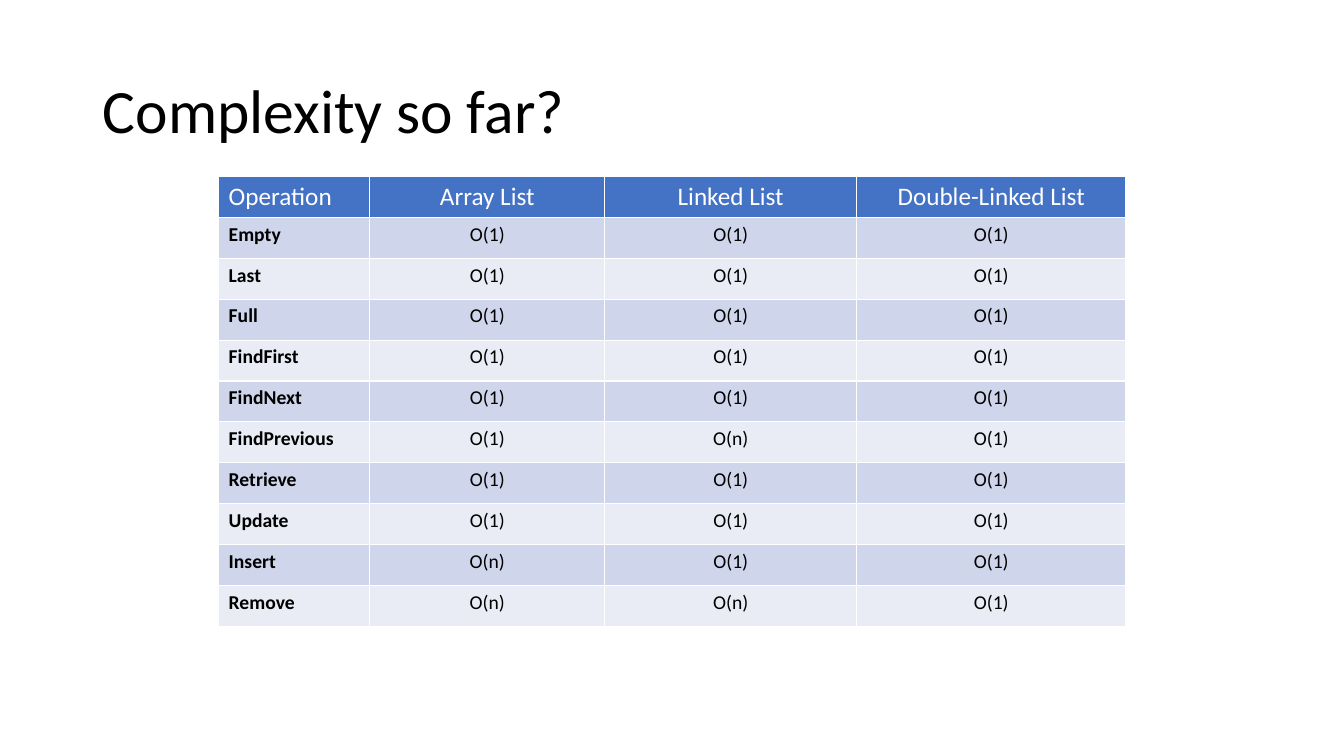
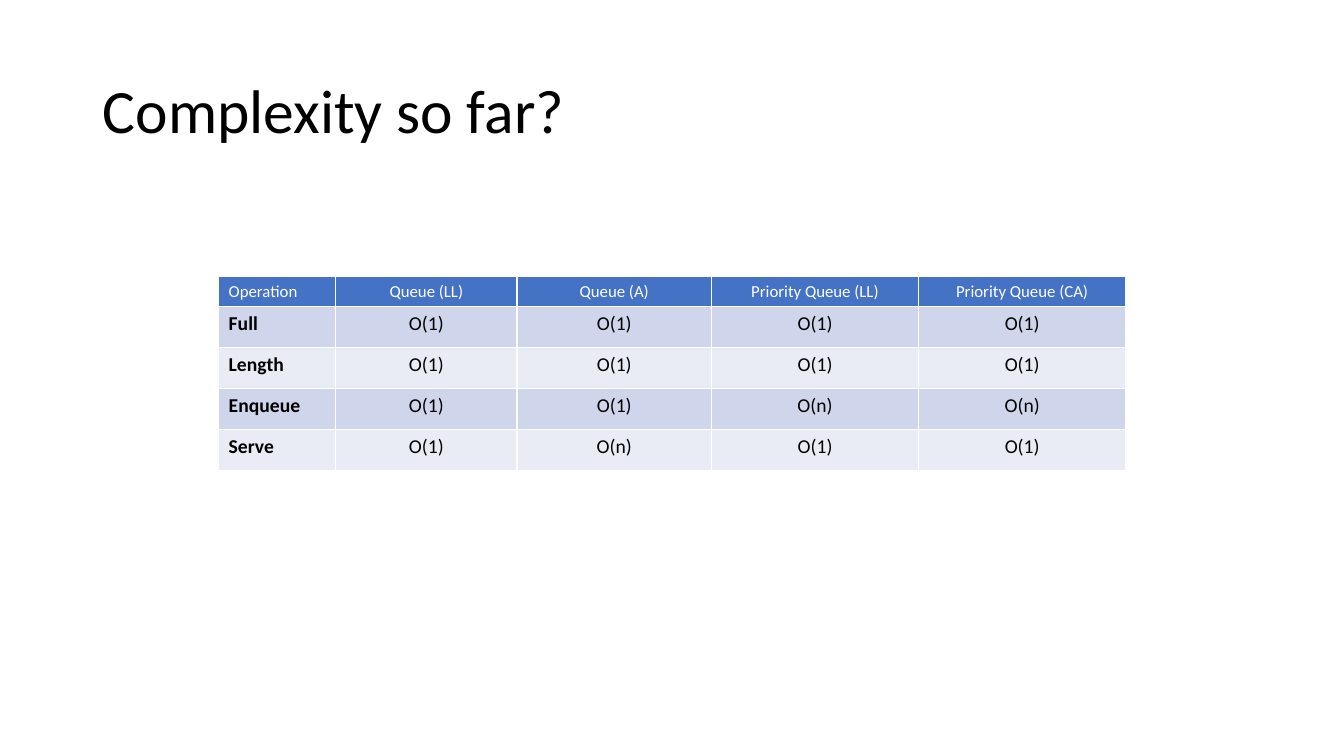
from dataclasses import dataclass

from pptx import Presentation
from pptx.dml.color import RGBColor
from pptx.enum.text import MSO_ANCHOR, PP_ALIGN
from pptx.util import Cm, Pt

LEFT, CENTER = PP_ALIGN.LEFT, PP_ALIGN.CENTER
MIDDLE = MSO_ANCHOR.MIDDLE
BLANK_LAYOUT = 6


@dataclass(frozen=True)
class Theme:
    """Colours, font and type sizes shared by the slides."""
    font: str = "Calibri"
    text: RGBColor = RGBColor(0x00, 0x00, 0x00)
    header_text: RGBColor = RGBColor(0xFF, 0xFF, 0xFF)
    header_fill: RGBColor = RGBColor(0x44, 0x72, 0xC4)
    bands: tuple = (RGBColor(0xCF, 0xD5, 0xEA), RGBColor(0xE9, 0xEB, 0xF5))
    title_size: int = 44
    body_size: int = 14


THEME = Theme()
TITLE_BOX = (2.34, 1.02, 29.21, 3.68)
TABLE_LEFT = 5.51
ROW_HEIGHT = 1.03

SLIDES = [
    {
        "title": "Complexity so far?",
        "top": 4.45,
        "header_height": ROW_HEIGHT,
        "header_size": 18,
        "widths": (3.81, 5.92, 6.35, 6.78),
        "rows": [
            ("Operation", "Array List", "Linked List", "Double-Linked List"),
            ("Empty", "O(1)", "O(1)", "O(1)"),
            ("Last", "O(1)", "O(1)", "O(1)"),
            ("Full", "O(1)", "O(1)", "O(1)"),
            ("FindFirst", "O(1)", "O(1)", "O(1)"),
            ("FindNext", "O(1)", "O(1)", "O(1)"),
            ("FindPrevious", "O(1)", "O(n)", "O(1)"),
            ("Retrieve", "O(1)", "O(1)", "O(1)"),
            ("Update", "O(1)", "O(1)", "O(1)"),
            ("Insert", "O(n)", "O(1)", "O(1)"),
            ("Remove", "O(n)", "O(n)", "O(1)"),
        ],
    },
    {
        "title": "Complexity so far?",
        "top": 6.96,
        "header_height": 0.77,
        "header_size": 12,
        "widths": (2.95, 4.57, 4.9, 5.22, 5.22),
        "rows": [
            ("Operation", "Queue (LL)", "Queue (A)",
             "Priority Queue (LL)", "Priority Queue (CA)"),
            ("Full", "O(1)", "O(1)", "O(1)", "O(1)"),
            ("Length", "O(1)", "O(1)", "O(1)", "O(1)"),
            ("Enqueue", "O(1)", "O(1)", "O(n)", "O(n)"),
            ("Serve", "O(1)", "O(n)", "O(1)", "O(1)"),
        ],
    },
]


def set_text(text_frame, text, size, color, bold=False, alignment=LEFT):
    """Write one styled paragraph and return it."""
    text_frame.text = text
    paragraph = text_frame.paragraphs[0]
    paragraph.alignment = alignment
    font = paragraph.runs[0].font
    font.name, font.size, font.bold = THEME.font, Pt(size), bold
    font.color.rgb = color
    return paragraph


def add_title(slide, text, box):
    """Place the slide title, vertically centred in its box."""
    text_frame = slide.shapes.add_textbox(*map(Cm, box)).text_frame
    text_frame.word_wrap = True
    text_frame.vertical_anchor = MIDDLE
    paragraph = set_text(text_frame, text, THEME.title_size, THEME.text)
    paragraph.line_spacing = 0.9


def add_complexity_table(slide, rows, widths, heights, header_size, box):
    """Place a banded table; the table style supplies its white borders."""
    shape = slide.shapes.add_table(len(rows), len(widths), *map(Cm, box))
    table = shape.table
    for column, width in zip(table.columns, widths):
        column.width = Cm(width)
    for row, height in zip(table.rows, heights):
        row.height = Cm(height)
    for row_index, values in enumerate(rows):
        is_header = row_index == 0
        fill = THEME.header_fill if is_header else THEME.bands[(row_index - 1) % 2]
        size = header_size if is_header else THEME.body_size
        color = THEME.header_text if is_header else THEME.text
        for column_index, value in enumerate(values):
            is_label = column_index == 0
            cell = table.cell(row_index, column_index)
            cell.fill.solid()
            cell.fill.fore_color.rgb = fill
            set_text(cell.text_frame, value, size, color,
                     bold=is_label and not is_header,
                     alignment=LEFT if is_label else CENTER)


def add_complexity_slide(presentation, content):
    """Add a slide with a title and one complexity table."""
    slide = presentation.slides.add_slide(presentation.slide_layouts[BLANK_LAYOUT])
    add_title(slide, content["title"], TITLE_BOX)
    rows, widths = content["rows"], content["widths"]
    heights = [content["header_height"]] + [ROW_HEIGHT] * (len(rows) - 1)
    box = (TABLE_LEFT, content["top"], sum(widths), sum(heights))
    add_complexity_table(slide, rows, widths, heights, content["header_size"], box)


def main():
    """Build and save the presentation."""
    presentation = Presentation()
    presentation.slide_width, presentation.slide_height = Cm(33.87), Cm(19.05)
    for content in SLIDES:
        add_complexity_slide(presentation, content)
    presentation.save("out.pptx")


main()
